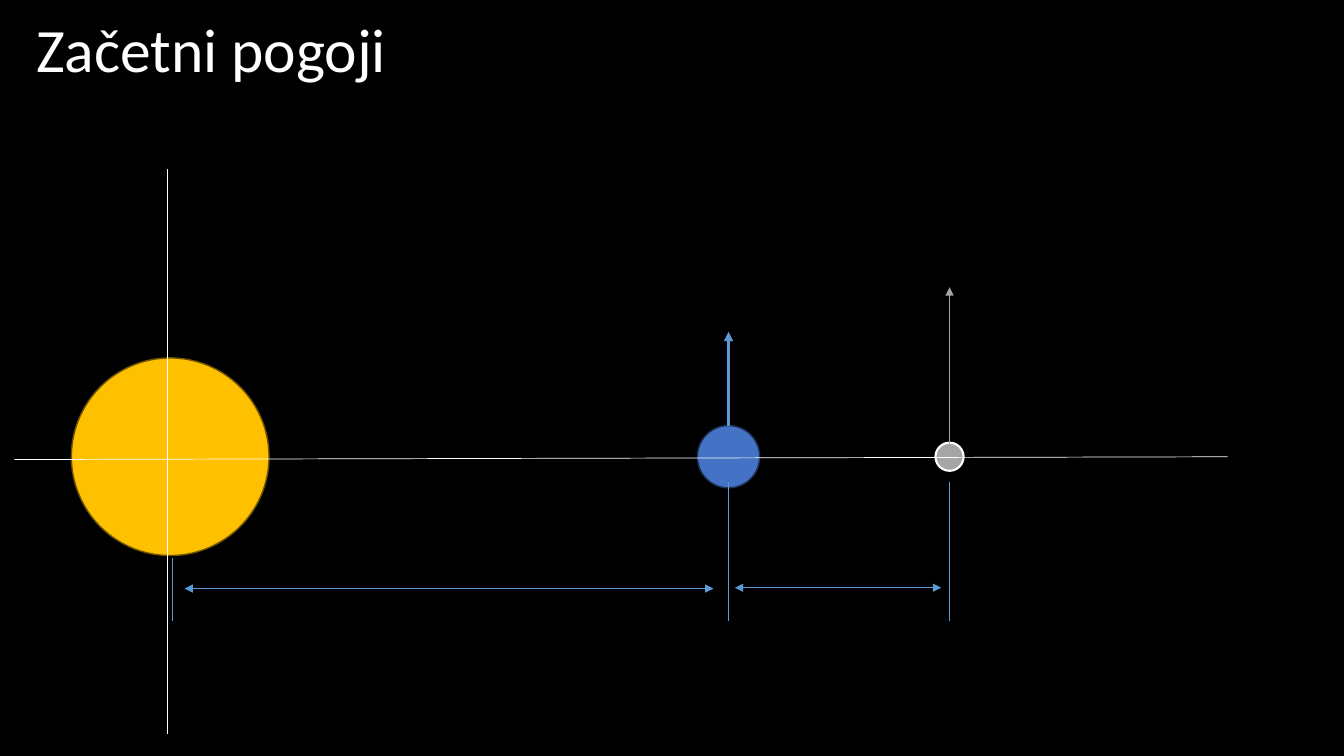
from lxml import etree
from pptx import Presentation
from pptx import util as u
from pptx.dml.color import RGBColor
from pptx.enum import shapes, text
from pptx.oxml import ns

BLACK = RGBColor(0x00, 0x00, 0x00)
WHITE = RGBColor(0xFF, 0xFF, 0xFF)
GOLD = RGBColor(0xFF, 0xC0, 0x00)
BROWN = RGBColor(0x70, 0x54, 0x00)
BLUE = RGBColor(0x44, 0x72, 0xC4)
NAVY = RGBColor(0x1E, 0x32, 0x56)
SKY = RGBColor(0x5B, 0x9B, 0xD5)
GRAY = RGBColor(0xA5, 0xA5, 0xA5)


def add_text(s, box, content, size=18, color=WHITE, font="Calibri", spacing=1.0):
    """Add a text box, anchored in the middle, in the given format."""
    tf = s.shapes.add_textbox(*map(u.Cm, box)).text_frame
    tf.word_wrap = True
    tf.vertical_anchor = text.MSO_ANCHOR.MIDDLE
    p = tf.paragraphs[0]
    p.line_spacing = spacing
    r = p.add_run()
    r.text = content
    r.font.size, r.font.name = u.Pt(size), font
    r.font.color.rgb = color


def add_body(s, cx, cy, diameter, fill, line, width=1):
    """Add a celestial body centred on a point."""
    left, top = cx - diameter / 2, cy - diameter / 2
    sp = s.shapes.add_shape(shapes.MSO_SHAPE.OVAL, u.Cm(left), u.Cm(top),
                            u.Cm(diameter), u.Cm(diameter))
    sp.shadow.inherit = False
    sp.fill.solid()
    sp.fill.fore_color.rgb = fill
    sp.line.color.rgb = line
    sp.line.width = u.Pt(width)
    return sp


def add_line(s, start, end, color=SKY, width=0.5, arrows=()):
    """Add a straight line with triangles at the named ends."""
    c = s.shapes.add_connector(shapes.MSO_CONNECTOR.STRAIGHT,
                               *map(u.Cm, (*start, *end)))
    c.line.color.rgb = color
    c.line.width = u.Pt(width)
    ln = c.line._get_or_add_ln()
    for name in arrows:
        etree.SubElement(ln, ns.qn(f"a:{name}"), type="triangle")
    etree.SubElement(c._element.spPr, ns.qn("a:effectLst"))
    return c


def add_orbit_diagram(s, x, y, w, h):
    """Draw the bodies, distances, velocities and axes in a box."""
    orbit, base = y + 7.24, y + 11.38
    sun, earth, moon = x + 3.93, x + 18, x + 23.57

    add_body(s, sun, orbit, 4.98, GOLD, BROWN)
    planet = add_body(s, earth, orbit, 1.57, BLUE, NAVY)
    add_body(s, moon, orbit, 0.71, GRAY, WHITE, 1.5)

    for gx, top in ((sun + 0.05, 9.78), (earth, 7.87), (moon, 7.87)):
        add_line(s, (gx, y + top), (gx, base))

    both = ("headEnd", "tailEnd")
    for x1, x2, dy in ((sun + 0.36, earth - 0.38, 10.56),
                       (earth + 0.16, moon - 0.21, 10.54)):
        add_line(s, (x1, y + dy), (x2, y + dy), arrows=both)

    velocity = add_line(s, (earth, orbit - 0.79), (earth, y + 4.09),
                        width=2.25, arrows=("tailEnd",))
    velocity.begin_connect(planet, 0)
    add_line(s, (moon, orbit - 0.13), (moon, y + 2.97), GRAY, 1, ("tailEnd",))

    add_line(s, (x + 3.86, y + h), (x + 3.86, y), WHITE)
    add_line(s, (x, orbit + 0.07), (x + w, orbit), WHITE)


def main():
    """Build and save the slide."""
    prs = Presentation()
    prs.slide_width, prs.slide_height = u.Cm(33.87), u.Cm(19.05)
    s = prs.slides.add_slide(prs.slide_layouts[6])
    s.background.fill.solid()
    s.background.fill.fore_color.rgb = BLACK
    add_text(s, (0.66, 0.15, 29.21, 2.36), "Začetni pogoji", size=44, spacing=0.9)
    add_orbit_diagram(s, 0.36, 4.27, 30.58, 14.22)
    prs.save("out.pptx")


if __name__ == "__main__":
    main()
